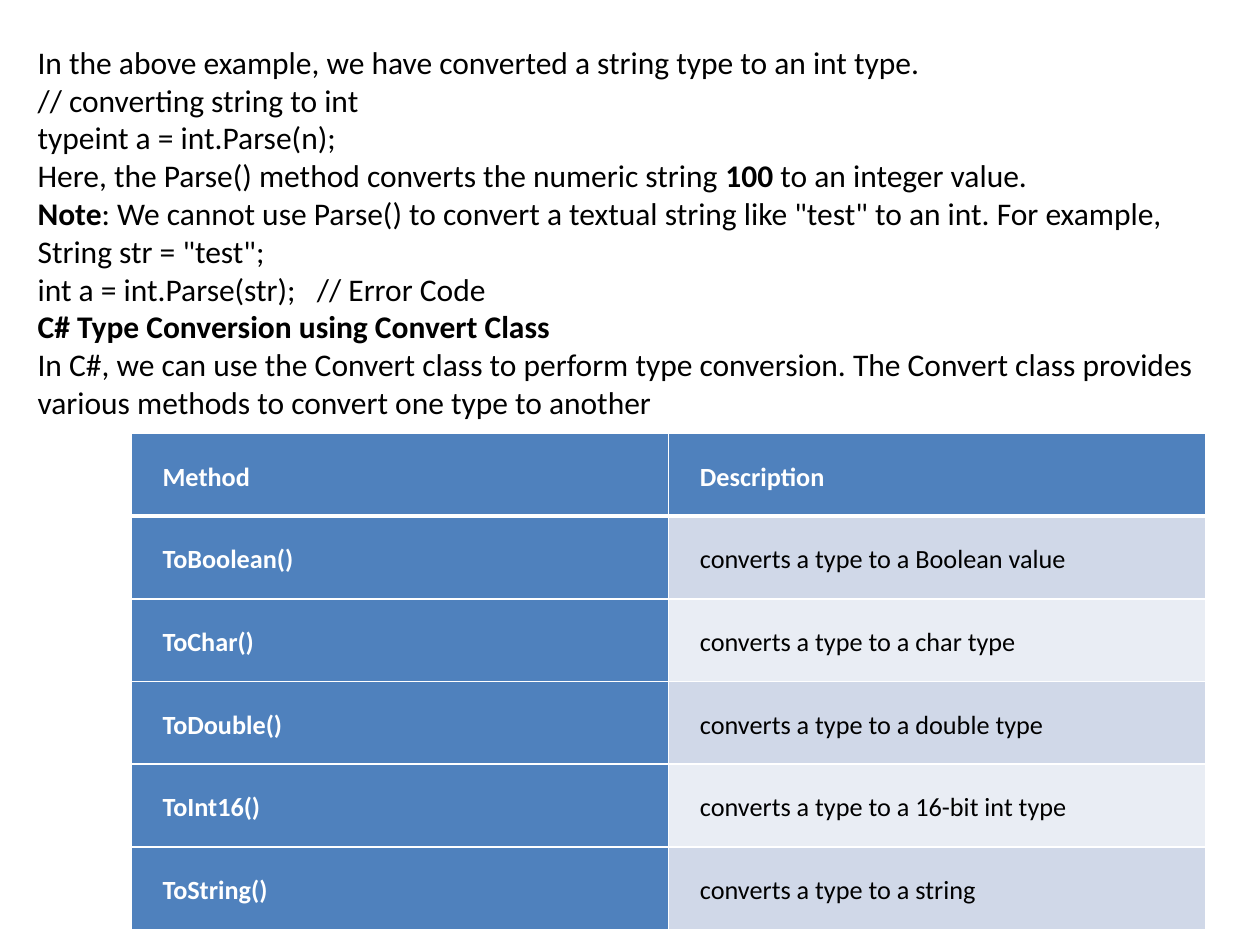
from typing import NamedTuple

from lxml import etree
from pptx import Presentation
from pptx import util as u
from pptx.dml.color import RGBColor
from pptx.enum import text
from pptx.oxml.ns import qn

FONT = "Calibri"
WHITE, BLACK, BLUE = "FFFFFF", "000000", "4F81BD"
BANDS = ("D0D8E8", "E9EDF4")


class Run(NamedTuple):
    text: str
    bold: bool = False


class Method(NamedTuple):
    name: str
    description: str


NOTES = [
    [Run("In the above example, we have converted a string type to an int type.")],
    [Run("// converting string to int")],
    [Run("typeint a = int.Parse(n);")],
    [Run("Here, the Parse() method converts the numeric string "),
     Run("100", True), Run(" to an integer value.")],
    [Run("Note", True),
     Run(': We cannot use Parse() to convert a textual string like "test" to an int. For example,')],
    [Run('String str = "test";')],
    [Run("int a = int.Parse(str);   // Error Code")],
    [Run("C# Type Conversion using Convert Class", True)],
    [Run("In C#, we can use the Convert class to perform type conversion. "
         "The Convert class provides various methods to convert one type to another")],
]

METHODS = [
    Method("Method", "Description"),
    Method("ToBoolean()", "converts a type to a Boolean value"),
    Method("ToChar()", "converts a type to a char type"),
    Method("ToDouble()", "converts a type to a double type"),
    Method("ToInt16()", "converts a type to a 16-bit int type"),
    Method("ToString()", "converts a type to a string"),
]


def rgb(color: str) -> RGBColor:
    return RGBColor.from_string(color)


def style_font(font, size: float, color: str) -> None:
    font.name = FONT
    font.size = u.Pt(size)
    font.color.rgb = rgb(color)


def add_notes(s, notes: list[list[Run]]) -> None:
    sp = s.shapes.add_textbox(u.Inches(0.2), u.Inches(0.29), u.Inches(9.61), u.Inches(3.43))
    tf = sp.text_frame
    tf.word_wrap = True
    tf.auto_size = text.MSO_AUTO_SIZE.SHAPE_TO_FIT_TEXT
    for i, runs in enumerate(notes):
        p = tf.add_paragraph() if i else tf.paragraphs[0]
        style_font(p.font, 18, BLACK)
        for run in runs:
            r = p.add_run()
            r.text = run.text
            r.font.bold = run.bold


def set_border(cell, side: str, points: float) -> None:
    ln = etree.SubElement(cell._tc.get_or_add_tcPr(), qn(f"a:ln{side}"), w=str(u.Pt(points)))
    fill = etree.SubElement(ln, qn("a:solidFill"))
    etree.SubElement(fill, qn("a:srgbClr"), val=WHITE)


def fill_cell(cell, label: str, row: int, heading: bool) -> None:
    for side in "LRTB":
        thick = (side == "B" and row == 0) or (side == "T" and row == 1)
        set_border(cell, side, 3 if thick else 1)
    cell.fill.solid()
    cell.fill.fore_color.rgb = rgb(BLUE if heading else BANDS[(row - 1) % 2])
    cell.vertical_anchor = text.MSO_ANCHOR.MIDDLE
    cell.margin_left = cell.margin_right = u.Inches(0.25)
    cell.margin_top = cell.margin_bottom = u.Inches(0.12)
    p = cell.text_frame.paragraphs[0]
    p.text = label
    p.line_spacing = 1.15
    p.space_after = u.Pt(10)
    style_font(p.font, 15, WHITE if heading else BLACK)
    p.font.bold = heading


def add_methods(s, methods: list[Method]) -> None:
    frame = s.shapes.add_table(len(methods), 2, u.Inches(1.04), u.Inches(3.44),
                               u.Inches(8.53), u.Inches(3.94))
    for row, method in enumerate(methods):
        for col, label in enumerate(method):
            fill_cell(frame.table.cell(row, col), label, row, row == 0 or col == 0)


def main() -> None:
    prs = Presentation()
    prs.slide_width, prs.slide_height = u.Inches(10), u.Inches(7.5)
    s = prs.slides.add_slide(prs.slide_layouts[6])
    add_notes(s, NOTES)
    add_methods(s, METHODS)
    prs.save("out.pptx")


if __name__ == "__main__":
    main()
